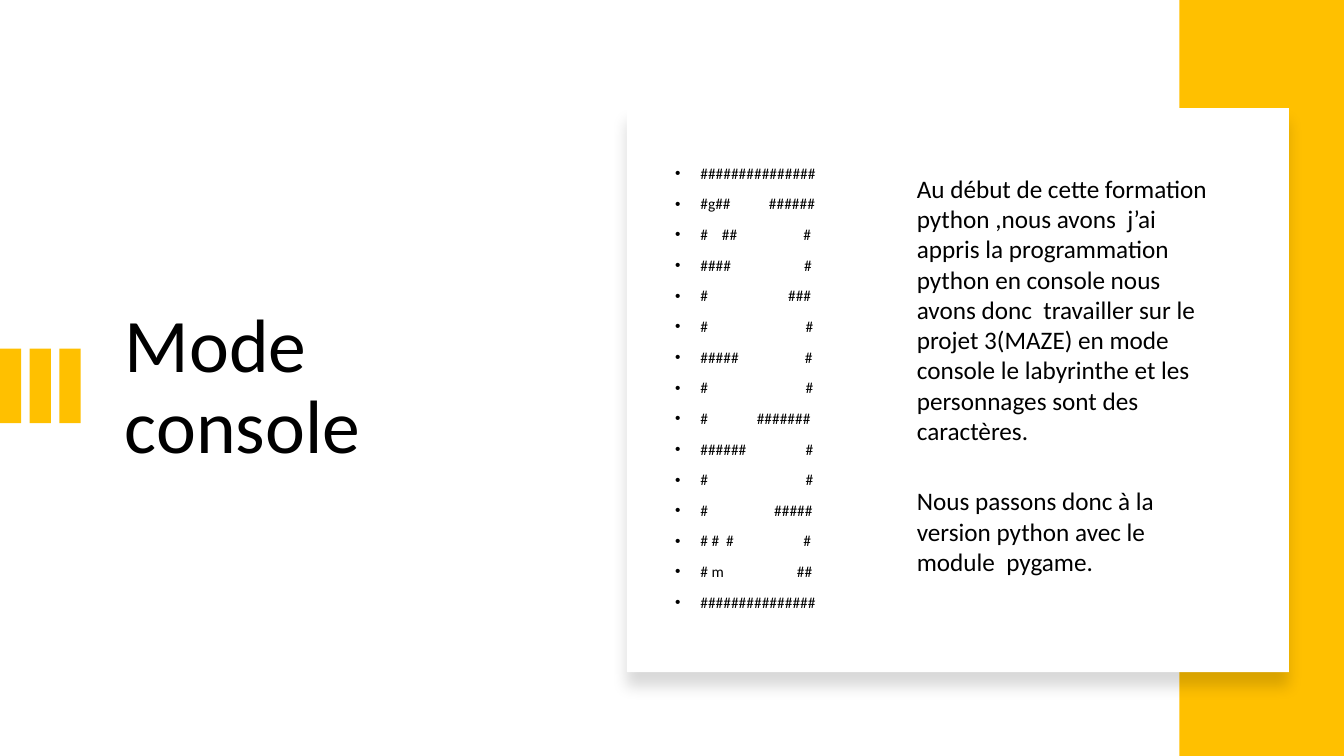
from lxml import etree
from pptx import Presentation
from pptx import util as u
from pptx.dml.color import RGBColor
from pptx.enum import shapes, text
from pptx.oxml import ns

BLACK = RGBColor(0x00, 0x00, 0x00)
WHITE = RGBColor(0xFF, 0xFF, 0xFF)
GOLD = RGBColor(0xFF, 0xC0, 0x00)
FONT = "Calibri"

MAZE = [
    "###############",
    "#g##           ######",
    "#    ##                   #",
    "####                     #",
    "#                       ###",
    "#                            #",
    "#####                   #",
    "#                            #",
    "#              #######",
    "######                 #",
    "#                            #",
    "#                   #####",
    "# #  #                    #",
    "# m                     ##",
    "###############",
]
STORY = ("Au début de cette formation python ,nous avons  j’ai appris la "
         "programmation python en console nous avons donc  travailler sur le "
         "projet 3(MAZE) en mode console le labyrinthe et les personnages sont "
         "des caractères.")
NEXT_STEP = ("Nous passons donc à\u00a0la version python avec le "
             "module\u00a0\u00a0pygame.")


def child(parent, tag, **attributes):
    return etree.SubElement(parent, ns.qn(tag), attributes)


def add_rectangle(parent, left, top, width, height, color):
    box = parent.shapes.add_shape(shapes.MSO_SHAPE.RECTANGLE, u.Pt(left),
                                  u.Pt(top), u.Pt(width), u.Pt(height))
    box.fill.solid()
    box.fill.fore_color.rgb = color
    box.line.fill.background()
    box.shadow.inherit = False
    return box


def add_shadow(box):
    effects = box._element.spPr.find(ns.qn("a:effectLst"))
    shadow = child(effects, "a:outerShdw", blurRad=str(u.Pt(11)),
                   dist=str(u.Pt(10)), dir="5400000", algn="t", rotWithShape="0")
    child(child(shadow, "a:srgbClr", val=str(BLACK)), "a:alpha", val="15000")


def add_bullet(para, indent):
    properties = para._p.get_or_add_pPr()
    properties.set("marL", str(u.Pt(indent)))
    properties.set("indent", str(-u.Pt(indent)))
    child(properties, "a:buFont", typeface="Arial")
    child(properties, "a:buChar", char="•")


def write_text(box, lines, size, anchor=text.MSO_ANCHOR.TOP, spacing=None,
               before=0, indent=0):
    frame = box.text_frame
    frame.word_wrap = True
    frame.auto_size = text.MSO_AUTO_SIZE.NONE
    frame.vertical_anchor = anchor
    for index, line in enumerate(lines):
        para = frame.add_paragraph() if index else frame.paragraphs[0]
        para.alignment = text.PP_ALIGN.LEFT
        para.space_before = u.Pt(before)
        if spacing:
            para.line_spacing = spacing
        if indent:
            add_bullet(para, indent)
        span = para.add_run()
        span.text = line
        span.font.name = FONT
        span.font.size = u.Pt(size)
        span.font.color.rgb = BLACK


def add_text(page, left, top, width, height, lines, **style):
    box = page.shapes.add_textbox(u.Pt(left), u.Pt(top), u.Pt(width), u.Pt(height))
    write_text(box, lines, **style)


def build_title(page, left, top, width, height):
    title = page.shapes.title
    title.left, title.top = u.Pt(left), u.Pt(top)
    title.width, title.height = u.Pt(width), u.Pt(height)
    write_text(title, ["Mode console"], size=54,
               anchor=text.MSO_ANCHOR.MIDDLE, spacing=0.9)


def build_bars(page, left, top, width, height, count=3, gap=6):
    group = page.shapes.add_group_shape()
    bar_width = (width - gap * (count - 1)) / count
    for index in range(count):
        add_rectangle(group, left + index * (bar_width + gap), top,
                      bar_width, height, GOLD)


def build_card(page, left, top, width, height):
    add_shadow(add_rectangle(page, left, top, width, height, WHITE))
    add_text(page, left + 27.4, top + 28, 160, height - 58, MAZE, size=11,
             anchor=text.MSO_ANCHOR.MIDDLE, spacing=0.9, before=10, indent=18)
    add_text(page, left + 200, top + 43, 231, 204, [STORY], size=18)
    add_text(page, left + 200, top + 266.2, 231, 73, [NEXT_STEP], size=18)


deck = Presentation()
deck.slide_width, deck.slide_height = u.Pt(960), u.Pt(540)
page = deck.slides.add_slide(deck.slide_layouts[5])
build_title(page, 82, 105, 307, 345)
build_bars(page, 0, 249, 57.6, 53.3)
add_rectangle(page, 842.4, 0, 117.6, 540, GOLD)
build_card(page, 447.8, 77.2, 473, 403)
deck.save("out.pptx")
